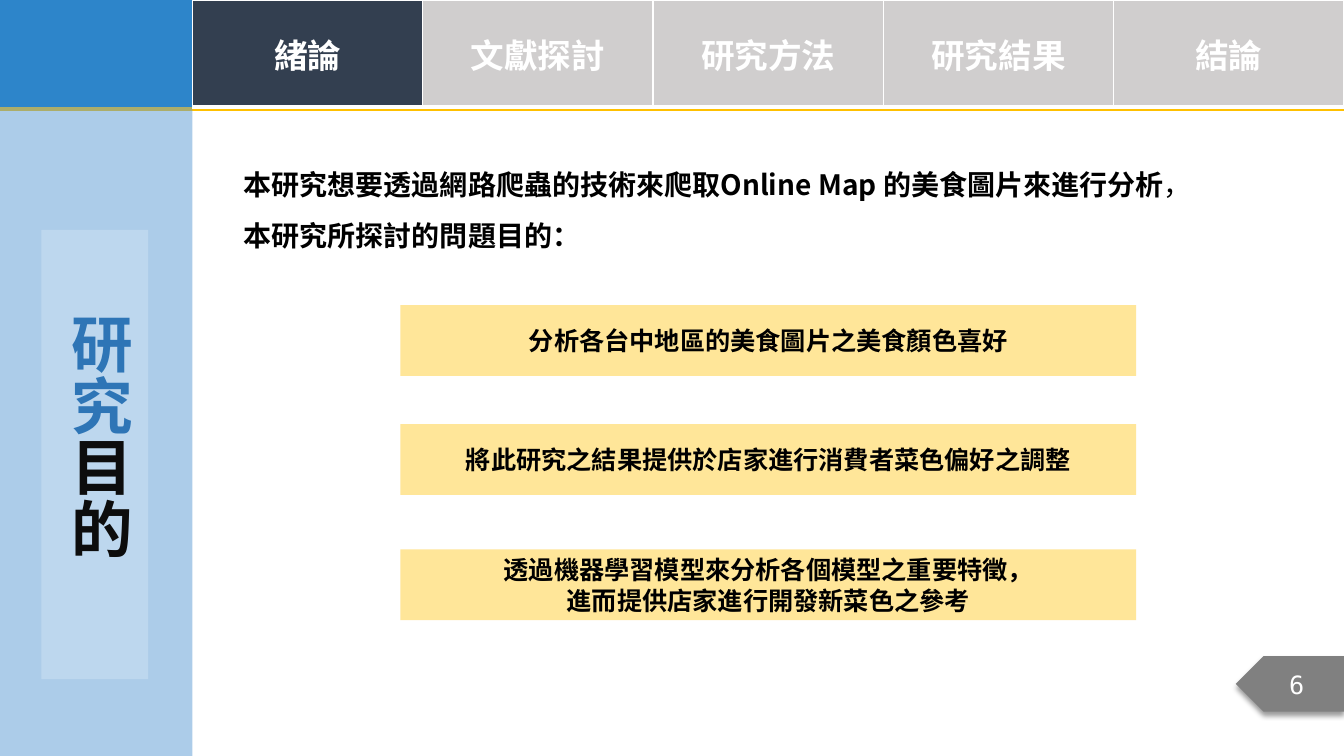
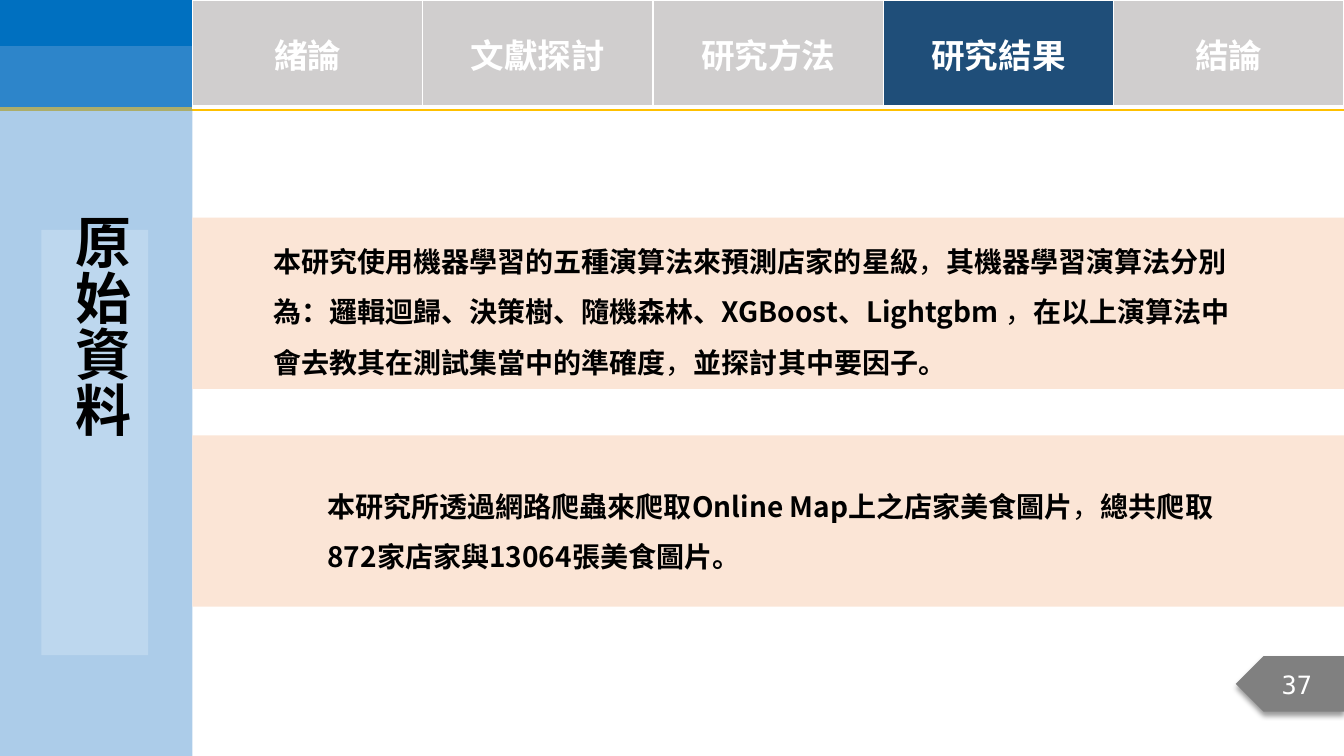
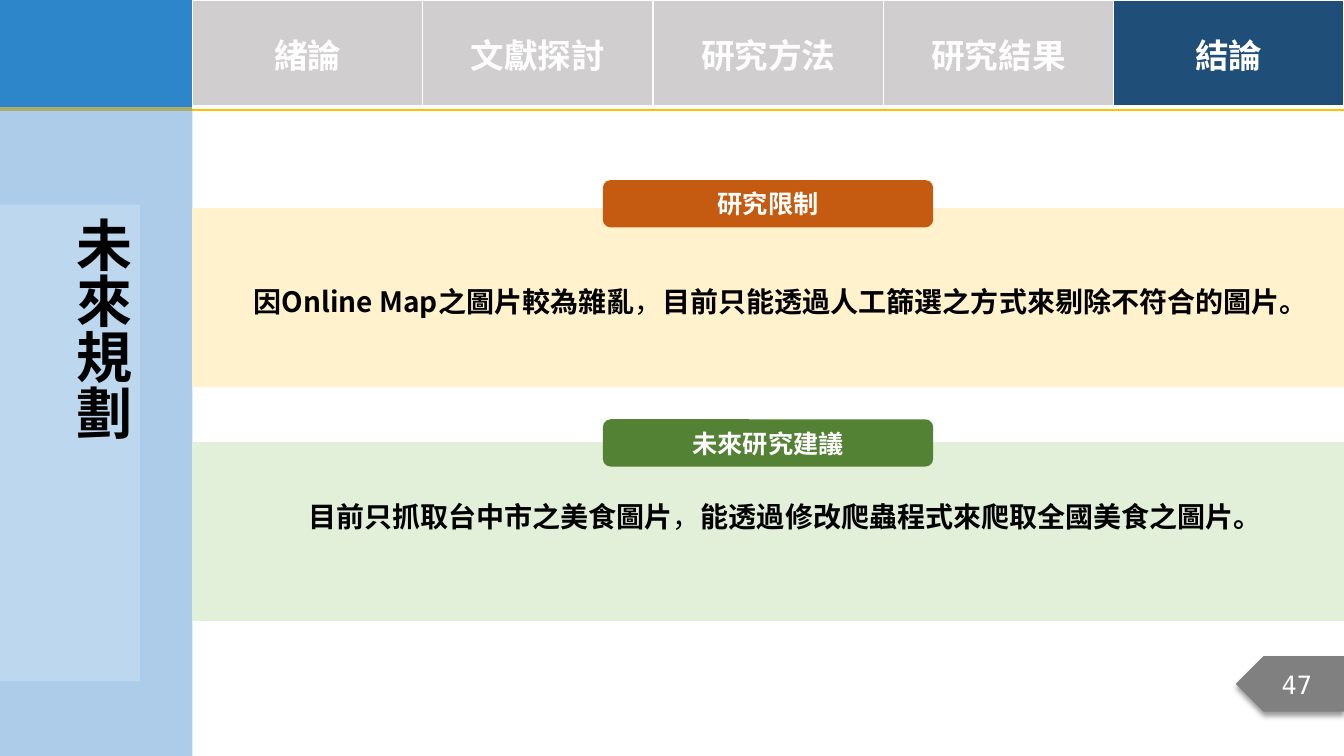
from itertools import groupby

from lxml import etree
from pptx import Presentation
from pptx.dml.color import RGBColor
from pptx.enum.shapes import MSO_SHAPE
from pptx.enum.text import MSO_ANCHOR, MSO_AUTO_SIZE, PP_ALIGN
from pptx.oxml.ns import qn
from pptx.util import Pt

RECTANGLE = MSO_SHAPE.RECTANGLE
ROUNDED = MSO_SHAPE.ROUNDED_RECTANGLE
PROCESS = MSO_SHAPE.FLOWCHART_PROCESS
PAGE_ARROW = MSO_SHAPE.PENTAGON
CENTER = PP_ALIGN.CENTER
LEFT = PP_ALIGN.LEFT
MIDDLE = MSO_ANCHOR.MIDDLE
GROW = MSO_AUTO_SIZE.SHAPE_TO_FIT_TEXT


class Theme:
    font, comma_font, page_font = "Noto Sans CJK SC", "Calibri", "DejaVu Sans Mono"
    tab_size, body_size, label_size = 24, 20, 18
    white, black, soft_black = "FFFFFF", "000000", "0D0D0D"
    header, gold, sidebar, panel = "0070C0", "FFC000", "5B9BD5", "BDD7EE"
    tab, tab_navy, tab_slate = "D0CECE", "1F4E79", "333F50"
    title_blue, page = "2E75B6", "808080"
    goal, peach, cream, mint = "FFE699", "FBE5D6", "FFF2CC", "E2F0D9"
    orange, green = "C55A11", "548235"


WIDTH, HEIGHT = 960, 540
SIDE_WIDTH, HEADER_HEIGHT = 137.5, 76.3
CONTENT_WIDTH = WIDTH - SIDE_WIDTH
TABS = ["緒論", "文獻探討", "研究方法", "研究結果", "結論"]
BORDERS = {"a:lnL": 1, "a:lnR": 1, "a:lnT": 1, "a:lnB": 3}


def style_run(run, size, colour, font=Theme.font, bold=True):
    """Format a run, using the same typeface for Latin and East Asian text."""
    run.font.size = Pt(size)
    run.font.bold = bold
    run.font.name = font
    run.font.color.rgb = RGBColor.from_string(colour)
    east_asian = etree.Element(qn("a:ea"), typeface=font)
    run._r.get_or_add_rPr().find(qn("a:latin")).addnext(east_asian)


def add_block(slide, box, fill, kind=RECTANGLE, text="", colour=Theme.black,
              font=Theme.font, bold=True, shadow=None):
    """Add a filled shape with a centred label; shadow is (colour, alpha, blur, distance)."""
    shape = slide.shapes.add_shape(kind, *map(Pt, box))
    shape.fill.solid()
    shape.fill.fore_color.rgb = RGBColor.from_string(fill)
    shape.line.fill.background()
    shape.shadow.inherit = False
    if shadow:
        shadow_colour, alpha, blur, distance = shadow
        effects = shape._element.spPr.find(qn("a:effectLst"))
        outer = etree.SubElement(effects, qn("a:outerShdw"), blurRad=str(Pt(blur)),
                                 dist=str(Pt(distance)), dir="5400000",
                                 algn="t", rotWithShape="0")
        tint = etree.SubElement(outer, qn("a:srgbClr"), val=shadow_colour)
        etree.SubElement(tint, qn("a:alpha"), val=str(alpha * 1000))
    if text:
        frame = shape.text_frame
        frame.text = text
        frame.vertical_anchor = MIDDLE
        frame.margin_top = frame.margin_bottom = 0
        frame.paragraphs[0].alignment = CENTER
        for run in frame.paragraphs[0].runs:
            style_run(run, Theme.label_size, colour, font, bold)
    return shape


presentation = Presentation()
presentation.slide_width, presentation.slide_height = Pt(WIDTH), Pt(HEIGHT)
blank = presentation.slide_layouts[6]

# Page number, active tab and its colour, sidebar top, panel, title box, size, alignment, runs
pages = [
    ("6", "緒論", Theme.tab_slate, 0, (29.5, 164.2, 76.3, 321), (33.8, 216.7, 67.7, 288),
     44, LEFT, [("研究", Theme.title_blue), ("目的", Theme.soft_black)]),
    ("37", "研究結果", Theme.tab_navy, 33, (29.5, 164.2, 76.3, 303.8),
     (36.7, 146.2, 63.4, 340.6), 40, CENTER, [("原始資料", Theme.black)]),
    ("47", "結論", Theme.tab_navy, 0, (0, 146.2, 100, 340.6),
     (37.4, 148.3, 63.4, 340.6), 40, CENTER, [("未來規劃", Theme.black)]),
]

slides = []
for (number, active, active_colour, side_top, panel, title_box,
     title_size, title_alignment, title_runs) in pages:
    slide = presentation.slides.add_slide(blank)
    slides.append(slide)

    arrow = add_block(slide, (882.7, 468.7, 77.3, 39.6), Theme.page, PAGE_ARROW, number,
                      Theme.white, Theme.page_font, False, (Theme.black, 40, 4, 3))
    arrow._element.spPr.find(qn("a:xfrm")).set("flipH", "1")
    add_block(slide, (0, 0, WIDTH, HEADER_HEIGHT), Theme.header,
              shadow=(Theme.gold, 100, 0, 3))
    sidebar = add_block(slide, (0, side_top, SIDE_WIDTH, HEIGHT - side_top), Theme.sidebar)
    side_colour = sidebar._element.spPr.find(qn("a:solidFill"))[0]
    etree.SubElement(side_colour, qn("a:alpha"), val="50000")
    add_block(slide, panel, Theme.panel)

    title = slide.shapes.add_textbox(*map(Pt, title_box))
    title.text_frame.word_wrap = True
    title.text_frame.auto_size = GROW
    title.text_frame._txBody.bodyPr.set("vert", "eaVert")
    paragraph = title.text_frame.paragraphs[0]
    paragraph.alignment = title_alignment
    for text, colour in title_runs:
        run = paragraph.add_run()
        run.text = text
        style_run(run, title_size, colour)

    table = slide.shapes.add_table(1, len(TABS), Pt(SIDE_WIDTH), 0,
                                   Pt(CONTENT_WIDTH), Pt(HEADER_HEIGHT)).table
    table.first_row = table.horz_banding = False
    for cell, text in zip(table.rows[0].cells, TABS):
        cell.text = text
        cell.vertical_anchor = MIDDLE
        paragraph = cell.text_frame.paragraphs[0]
        paragraph.alignment = CENTER
        style_run(paragraph.runs[0], Theme.tab_size, Theme.white)
        properties = cell._tc.get_or_add_tcPr()
        for side, weight in BORDERS.items():
            border = etree.SubElement(properties, qn(side), w=str(Pt(weight)))
            border_fill = etree.SubElement(border, qn("a:solidFill"))
            etree.SubElement(border_fill, qn("a:srgbClr"), val=Theme.white)
        cell.fill.solid()
        cell.fill.fore_color.rgb = RGBColor.from_string(
            active_colour if text == active else Theme.tab)

purpose, raw_data, future = slides

goals = [
    (218, "分析各台中地區的美食圖片之美食顏色喜好"),
    (303, "將此研究之結果提供於店家進行消費者菜色偏好之調整"),
    (392.5, "透過機器學習模型來分析各個模型之重要特徵，\v進而提供店家進行開發新菜色之參考"),
]
for top, text in goals:
    add_block(purpose, (286, top, 525.6, 50.5), Theme.goal, text=text)

for top in (155.5, 311):
    add_block(raw_data, (SIDE_WIDTH, top, CONTENT_WIDTH, 122.4), Theme.peach)

sections = [
    (148.3, Theme.cream, 128.7, Theme.orange, "研究限制"),
    (315.4, Theme.mint, 299.5, Theme.green, "未來研究建議"),
]
for band_top, band_colour, label_top, label_colour, text in sections:
    add_block(future, (SIDE_WIDTH, band_top, CONTENT_WIDTH, 128.2), band_colour, PROCESS)
    add_block(future, (430.6, label_top, 236, 33.8), label_colour, ROUNDED, text, Theme.white)

bodies = [
    (purpose, (167, 104.4, 695, 75.6),
     "本研究想要透過網路爬蟲的技術來爬取Online Map 的美食圖片來進行分析，"
     "本研究所探討的問題目的："),
    (raw_data, (188, 159, 715, 116.6),
     "本研究使用機器學習的五種演算法來預測店家的星級，其機器學習演算法分別為："
     "邏輯迴歸、決策樹、隨機森林、XGBoost、Lightgbm ，"
     "在以上演算法中會去教其在測試集當中的準確度，並探討其中要因子。"),
    (raw_data, (226.8, 334, 661.7, 75.6),
     "本研究所透過網路爬蟲來爬取Online Map上之店家美食圖片，"
     "總共爬取872家店家與13064張美食圖片。"),
    (future, (174.2, 188, 771, 39.6),
     "因Online Map之圖片較為雜亂，目前只能透過人工篩選之方式來剔除不符合的圖片。"),
    (future, (213, 341.3, 747, 39.6),
     "目前只抓取台中市之美食圖片，能透過修改爬蟲程式來爬取全國美食之圖片。"),
]
for slide, box, text in bodies:
    frame = slide.shapes.add_textbox(*map(Pt, box)).text_frame
    frame.word_wrap = True
    frame.auto_size = GROW
    paragraph = frame.paragraphs[0]
    paragraph.line_spacing = 1.5
    for is_comma, letters in groupby(text, lambda letter: letter == "，"):
        run = paragraph.add_run()
        run.text = "".join(letters)
        style_run(run, Theme.body_size, Theme.black,
                  Theme.comma_font if is_comma else Theme.font, not is_comma)

presentation.save("out.pptx")
